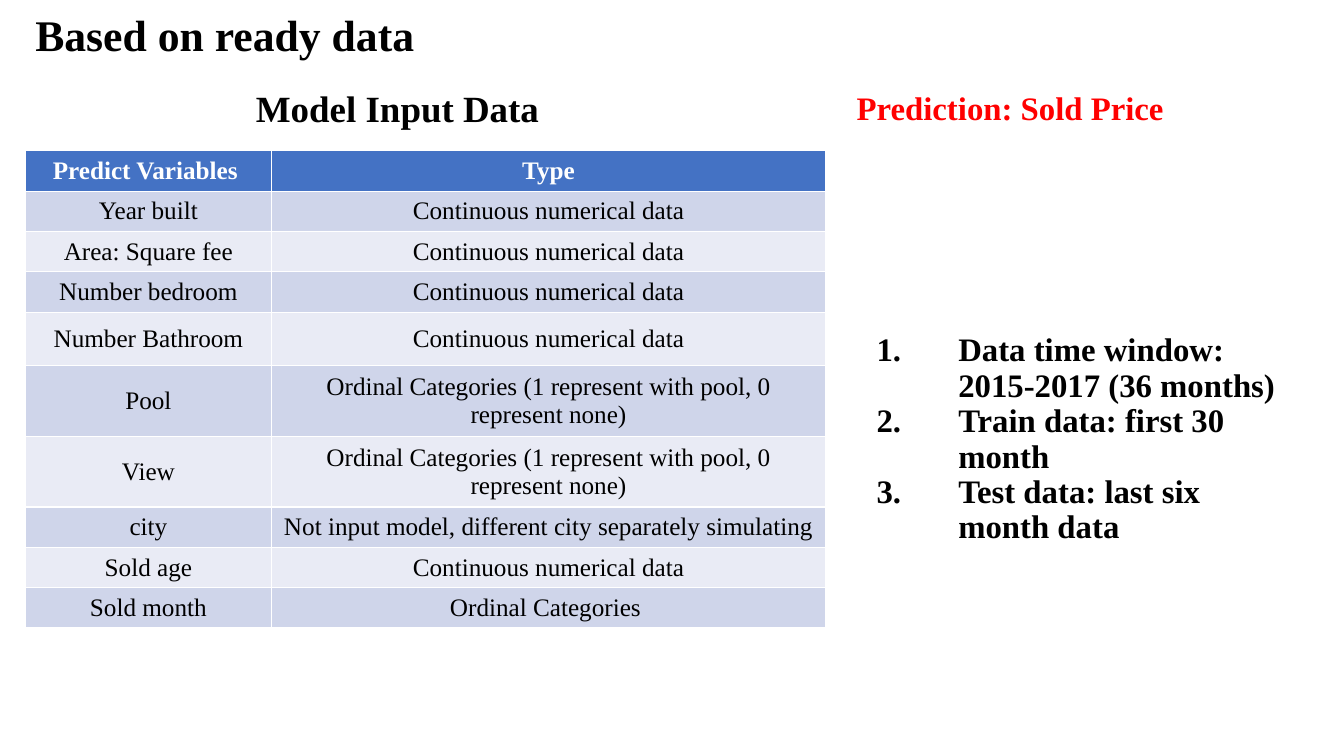
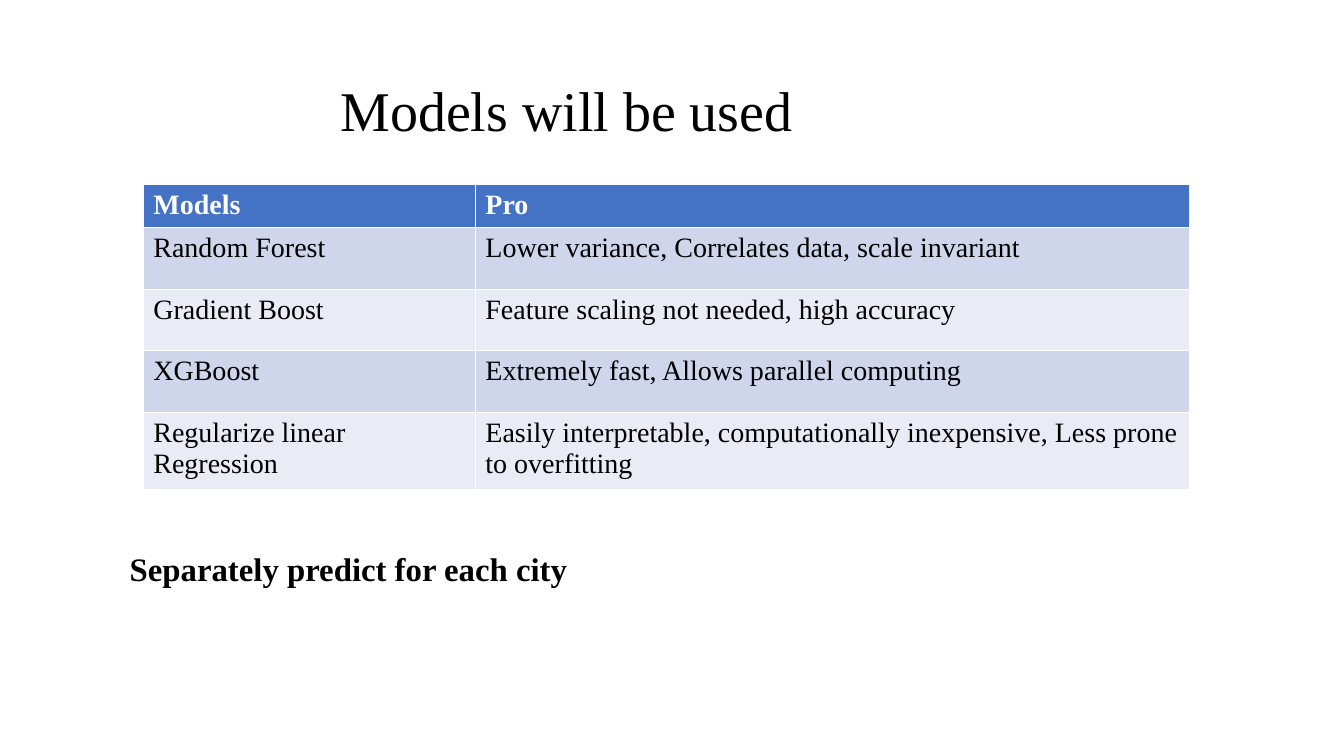
"""Build two slides on the input data and the models of a price forecast."""
from lxml import etree
from pptx import Presentation
from pptx.dml.color import RGBColor
from pptx.enum.text import MSO_ANCHOR, PP_ALIGN
from pptx.oxml.ns import qn
from pptx.util import Cm, Pt

MIDDLE, TOP = MSO_ANCHOR.MIDDLE, MSO_ANCHOR.TOP
LEFT, CENTER = PP_ALIGN.LEFT, PP_ALIGN.CENTER
BLACK = RGBColor(0, 0, 0)
WHITE = RGBColor(255, 255, 255)
RED = RGBColor(255, 0, 0)
BLUE = RGBColor(0x44, 0x72, 0xC4)
BANDS = [RGBColor(0xE9, 0xEB, 0xF5), RGBColor(0xCF, 0xD5, 0xEA)]
FONT = "Times New Roman"


def add_text(slide, box, lines, size, color=BLACK, bold=True, space=0.9):
    frame = slide.shapes.add_textbox(*map(Cm, box)).text_frame
    frame.word_wrap = True
    frame.vertical_anchor = MIDDLE
    frame.text = "\n".join(lines)
    for para in frame.paragraphs:
        para.line_spacing = space
        font = para.runs[0].font
        font.name, font.size, font.bold = FONT, Pt(size), bold
        font.color.rgb = color
    return frame


def add_grid(slide, spot, widths, heights, rows, size, align, anchor):
    box = (*spot, sum(widths), sum(heights))
    grid = slide.shapes.add_table(len(rows), len(widths), *map(Cm, box)).table
    for col, width in zip(grid.columns, widths):
        col.width = Cm(width)
    for i, (height, row) in enumerate(zip(heights, rows)):
        grid.rows[i].height = Cm(height)
        for j, text in enumerate(row):
            cell = grid.cell(i, j)
            cell.vertical_anchor = anchor
            cell.fill.solid()
            cell.fill.fore_color.rgb = BANDS[i % 2] if i else BLUE
            para = cell.text_frame.paragraphs[0]
            para.text = text
            para.alignment = align
            font = para.runs[0].font
            font.name, font.size, font.bold = FONT, Pt(size), i == 0
            font.color.rgb = BLACK if i else WHITE


deck = Presentation()
deck.slide_width, deck.slide_height = Cm(33.87), Cm(19.05)
blank = deck.slide_layouts[6]

NUMBER = "Continuous numerical data"
FLAG = "Ordinal Categories (1 represent with pool, 0 represent none)"
inputs = [
    ("Predict Variables ", "Type"),
    ("Year built", NUMBER),
    ("Area: Square fee", NUMBER),
    ("Number bedroom", NUMBER),
    ("Number Bathroom", NUMBER),
    ("Pool", FLAG),
    ("View", FLAG),
    ("city", "Not input model, different city separately simulating "),
    ("Sold age", NUMBER),
    ("Sold month", "Ordinal Categories "),
]
data = deck.slides.add_slide(blank)
add_text(data, (6.2, 1.9, 8.58, 1.9), ["Model Input Data"], 26.4, space=0.7)
heights = [0.82] * 4 + [1.35] + [0.82] * 5
add_grid(data, (0.64, 3.8), (6.2, 13.97), heights, inputs, 18, CENTER, MIDDLE)
add_text(data, (0.64, 0, 11.13, 1.9), ["Based on ready data"], 31.2)
steps = add_text(data, (21.84, 8.08, 10.92, 6), [
    "Data time window: 2015-2017 (36 months)",
    "Train data: first 30 month",
    "Test data: last six month data",
], 23.4)
for para in steps.paragraphs:
    props = para._p.get_or_add_pPr()
    props.set("marL", str(Cm(2.06)))
    props.set("indent", str(-Cm(2.06)))
    etree.SubElement(props, qn("a:buFont"), typeface="+mj-lt")
    etree.SubElement(props, qn("a:buAutoNum"), type="arabicPeriod")
add_text(data, (21.34, 1.9, 10.92, 1.73), ["Prediction: Sold Price"], 23.4, RED)

models = [
    ("Models", "Pro"),
    ("Random Forest", "Lower variance, Correlates data, scale invariant"),
    ("Gradient Boost", "Feature scaling not needed, high accuracy"),
    ("XGBoost", "Extremely fast, Allows parallel computing"),
    ("Regularize linear Regression",
     "Easily interpretable, computationally inexpensive, Less prone to overfitting"),
]
plan = deck.slides.add_slide(blank)
add_text(plan, (8.33, 1.17, 14.43, 3.35), ["Models will be used"], 40, bold=False)
heights = [1.03] + [1.55] * 3 + [1.7]
add_grid(plan, (3.61, 4.64), (8.37, 18), heights, models, 20, LEFT, TOP)
add_text(plan, (3.02, 13.51, 25.04, 1.73), ["Separately predict for each city"], 23.4)

deck.save("out.pptx")
